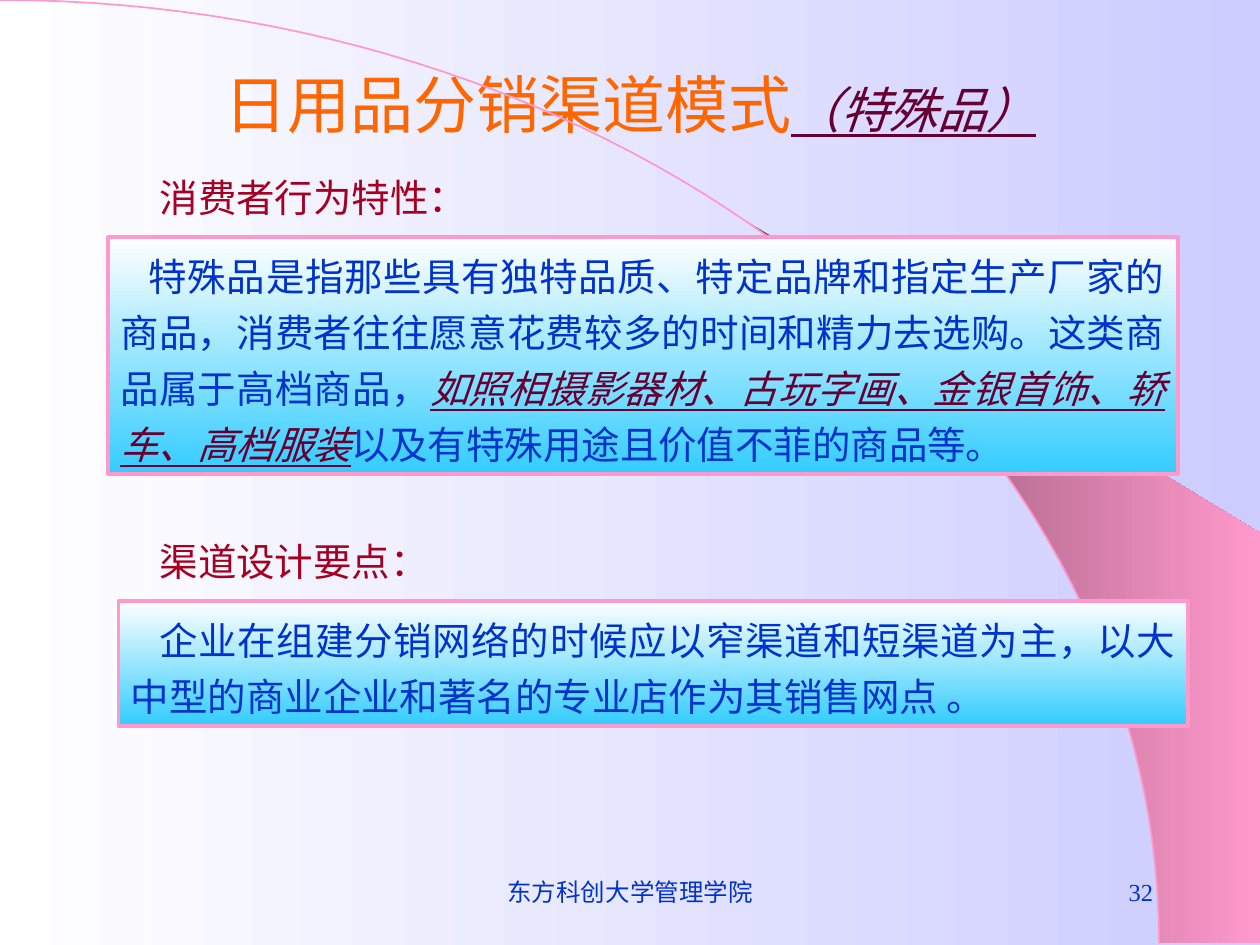
import math
from dataclasses import dataclass

from lxml import etree
from pptx import Presentation
from pptx.dml.color import RGBColor
from pptx.enum.shapes import MSO_SHAPE
from pptx.enum.text import MSO_ANCHOR, MSO_AUTO_SIZE, PP_ALIGN
from pptx.oxml.ns import qn
from pptx.util import Cm, Pt

RECT = MSO_SHAPE.RECTANGLE
TOP, MIDDLE = MSO_ANCHOR.TOP, MSO_ANCHOR.MIDDLE
NO_FIT, GROW = MSO_AUTO_SIZE.NONE, MSO_AUTO_SIZE.SHAPE_TO_FIT_TEXT
LEFT, CENTER, RIGHT, JUSTIFY = (PP_ALIGN.LEFT, PP_ALIGN.CENTER,
                                PP_ALIGN.RIGHT, PP_ALIGN.JUSTIFY)
TITLE_ONLY = 5
RIGHTWARD, DOWNWARD = 0, 270


@dataclass(frozen=True)
class Theme:
    white: str = "FFFFFF"
    lavender: str = "CCCCFF"
    pink: str = "FF99CC"
    mauve: str = "76475E"
    sky: str = "33CCFF"
    title: str = "FF6600"
    label: str = "A50021"
    body: str = "0033CC"
    accent: str = "660033"
    cjk: str = "Noto Sans CJK SC"
    latin: str = "Arial"
    serif: str = "Times New Roman"
    title_size: int = 36
    subtitle_size: int = 28
    body_size: int = 22
    footer_size: int = 14


T = Theme()


def set_gradient(fill, start, end, angle):
    fill.gradient()
    fill.gradient_angle = angle
    for stop, color in zip(fill.gradient_stops, (start, end)):
        stop.color.rgb = RGBColor.from_string(color)


def set_line(shape, width):
    shape.line.color.rgb = RGBColor.from_string(T.pink)
    shape.line.width = Pt(width)


def add_run(p, text, size, color, font=T.cjk, emphasis=False):
    r = p.add_run()
    r.text = text
    r.font.size = Pt(size)
    r.font.name = font
    r.font.color.rgb = RGBColor.from_string(color)
    if emphasis:
        r.font.italic = r.font.underline = True
    ea = etree.SubElement(r._r.get_or_add_rPr(), qn("a:ea"))
    ea.set("typeface", T.cjk)


def format_frame(shape, align, anchor, fit):
    tf = shape.text_frame
    tf.word_wrap = True
    tf.auto_size = fit
    tf.vertical_anchor = anchor
    tf.margin_left = tf.margin_right = Cm(0.25)
    tf.margin_top = tf.margin_bottom = Cm(0.13)
    p = tf.paragraphs[0]
    p.alignment = align
    return p


def add_text(s, box, align, anchor, fit):
    return format_frame(s.shapes.add_textbox(*map(Cm, box)), align, anchor, fit)


def add_outline(s, points, close):
    builder = s.shapes.build_freeform(Cm(points[0][0]), Cm(points[0][1]))
    builder.add_line_segments([(Cm(x), Cm(y)) for x, y in points[1:]], close=close)
    shape = builder.convert_to_shape()
    shape.shadow.inherit = False
    return shape


def add_backdrop(s, box):
    """Gradient ground with a quarter ellipse and a band along its lower part."""
    x, y, w, h = box
    set_gradient(s.background.fill, T.white, T.lavender, RIGHTWARD)
    rx, steps = 0.92 * w, 60

    def arc(start):
        angles = [start + (math.pi / 2 - start) * i / steps for i in range(steps + 1)]
        return [(x + rx * math.sin(a), y + h * (1 - math.cos(a))) for a in angles]

    # Pink band
    band = add_outline(s, arc(math.asin(0.64)) + [(x + w, y + h), (x + w, y + 0.565 * h)],
                       True)
    set_gradient(band.fill, T.mauve, T.pink, RIGHTWARD)
    band.line.fill.background()

    # Thin curve
    curve = add_outline(s, arc(0), False)
    curve.fill.background()
    set_line(curve, 1)


def add_title(s, box):
    title = s.shapes.title
    title.left, title.top, title.width, title.height = map(Cm, box)
    p = format_frame(title, CENTER, MIDDLE, NO_FIT)
    add_run(p, "日用品", T.title_size, T.title)
    add_run(p, "分销渠道模式", T.title_size, T.title, T.latin)
    add_run(p, "（特殊品）", T.subtitle_size, T.accent, emphasis=True)


def add_section(s, box, label_offset, label, parts):
    """Label above a framed panel; parts are (text, emphasis) pairs."""
    x, y, w, h = box
    p = add_text(s, (x + label_offset, y - 1.4, 6.78, 1.19), LEFT, TOP, GROW)
    p.space_before = Pt(13.8)
    add_run(p, label, T.body_size, T.label)

    panel = s.shapes.add_shape(RECT, *map(Cm, box))
    panel.shadow.inherit = False
    set_gradient(panel.fill, T.white, T.sky, DOWNWARD)
    set_line(panel, 2.25)
    p = format_frame(panel, JUSTIFY, TOP, GROW)
    p.line_spacing = Pt(32)
    p.space_before = Pt(18)
    p._p.get_or_add_pPr().set("indent", str(Cm(0.57)))
    for text, emphasis in parts:
        add_run(p, text, T.body_size, T.accent if emphasis else T.body,
                emphasis=emphasis)


def add_footer(s, box):
    x, y, w, h = box
    for text, left, width, align in (("32", w - 5.28, 5.28, RIGHT),
                                     ("东方科创大学管理学院", 6.78, 8.05, CENTER)):
        p = add_text(s, (x + left, y, width, h), align, MIDDLE, NO_FIT)
        add_run(p, text, T.footer_size, T.body, T.serif)


def main():
    prs = Presentation()
    prs.slide_width, prs.slide_height = Cm(25.4), Cm(19.05)
    s = prs.slides.add_slide(prs.slide_layouts[TITLE_ONLY])
    add_backdrop(s, (0, 0, 25.4, 19.02))
    add_section(s, (2.18, 4.78, 21.56, 4.78), 0.79, "消费者行为特性：", [
        ("特殊品是指那些具有独特品质、特定品牌和指定生产厂家的商品，"
         "消费者往往愿意花费较多的时间和精力去选购。这类商品属于高档商品，", False),
        ("如照相摄影器材、古玩字画、金银首饰、轿车、高档服装", True),
        ("以及有特殊用途且价值不菲的商品等。", False)])
    add_section(s, (2.39, 12.12, 21.56, 2.51), 0.58, "渠道设计要点：", [
        ("企业在组建分销网络的时候应以窄渠道和短渠道为主，"
         "以大中型的商业企业和著名的专业店作为其销售网点 。", False)])
    add_title(s, (1.9, 0.99, 21.6, 2.18))
    add_footer(s, (1.9, 17.35, 21.6, 1.27))
    prs.save("out.pptx")


if __name__ == "__main__":
    main()
